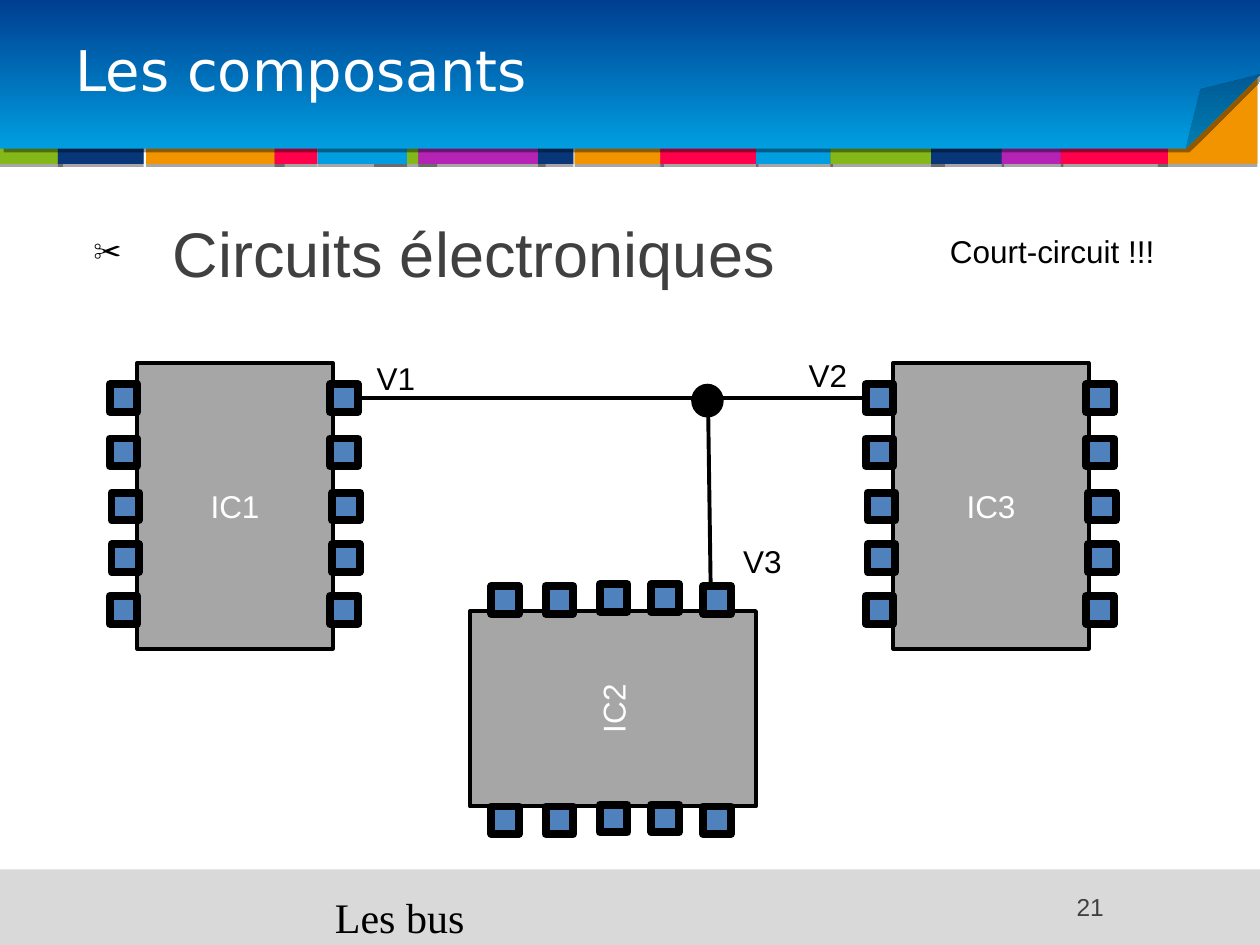
from dataclasses import dataclass

from lxml import etree
from pptx import Presentation
from pptx.dml.color import RGBColor
from pptx.enum.shapes import MSO_CONNECTOR, MSO_SHAPE
from pptx.enum.text import MSO_ANCHOR, MSO_AUTO_SIZE, PP_ALIGN
from pptx.oxml.ns import qn
from pptx.util import Inches, Pt

RECTANGLE, OVAL, FOLDED = MSO_SHAPE.RECTANGLE, MSO_SHAPE.OVAL, MSO_SHAPE.FOLDED_CORNER
STRAIGHT = MSO_CONNECTOR.STRAIGHT
LEFT, CENTER, RIGHT = PP_ALIGN.LEFT, PP_ALIGN.CENTER, PP_ALIGN.RIGHT
TOP, MIDDLE = MSO_ANCHOR.TOP, MSO_ANCHOR.MIDDLE
NO_FIT = MSO_AUTO_SIZE.NONE
LEFT_SIDE, RIGHT_SIDE = 1, 3

BLACK = RGBColor(0x00, 0x00, 0x00)
WHITE = RGBColor(0xFF, 0xFF, 0xFF)
CHARCOAL = RGBColor(0x40, 0x40, 0x40)
CHIP_GRAY = RGBColor(0xA6, 0xA6, 0xA6)
FOOTER_GRAY = RGBColor(0xD9, 0xD9, 0xD9)
PIN_BLUE = RGBColor(0x4F, 0x81, 0xBD)
DEEP_BLUE = RGBColor(0x00, 0x3E, 0x90)
SKY = RGBColor(0x00, 0x9E, 0xE0)
GREEN = RGBColor(0x83, 0xB8, 0x18)
ORANGE = RGBColor(0xF2, 0x94, 0x00)
NAVY = RGBColor(0x07, 0x37, 0x79)
RED = RGBColor(0xFF, 0x01, 0x4B)
PURPLE = RGBColor(0xB5, 0x23, 0xB4)

COLUMNS, ROWS = 100, 75
SLIDE_WIDTH, SLIDE_HEIGHT = Inches(10), Inches(7.5)


@dataclass(frozen=True)
class Area:
    column: float
    row: float
    columns: float
    rows: float

    def place(self) -> tuple[int, int, int, int]:
        return (across(self.column), down(self.row), across(self.columns), down(self.rows))


@dataclass(frozen=True)
class Stripe:
    column: float
    columns: float
    color: RGBColor
    row: float = 8.2
    rows: float = 4.8


@dataclass(frozen=True)
class Chip:
    name: str
    column: float
    row: float
    turned: bool = False


@dataclass(frozen=True)
class Label:
    text: str
    area: Area
    size: int = 18
    font: str = "Arial"
    color: RGBColor = BLACK
    align: PP_ALIGN = LEFT


STRIPES = [
    Stripe(29.7, 5, GREEN), Stripe(91.9, 7.9, ORANGE, 4.7, 8.3),
    Stripe(0, 5, GREEN), Stripe(4.6, 6.8, NAVY), Stripe(11.6, 11, ORANGE),
    Stripe(21.8, 3.4, RED), Stripe(25.2, 7.1, SKY), Stripe(33.2, 10.1, PURPLE),
    Stripe(42.7, 2.8, NAVY), Stripe(45.6, 7.1, ORANGE), Stripe(52.4, 7.8, RED),
    Stripe(60, 6.1, SKY), Stripe(65.9, 9.1, GREEN), Stripe(73.9, 5.8, NAVY),
    Stripe(79.5, 4.9, PURPLE), Stripe(84.2, 8.5, RED),
]
CHIPS = [Chip("IC1", 18.65, 40.15), Chip("IC3", 78.65, 40.15), Chip("IC2", 48.65, 56.25, True)]
CHIP_COLUMNS, CHIP_ROWS, PIN = 15.5, 22.7, 2.2
PIN_SIDES = (8.65, -8.85)
PIN_OFFSETS = [(0, -8.55), (0, -4.25), (0.15, 0.05), (0.15, 4.15), (0, 8.25)]
FOOTERS = [
    Label("Les bus", Area(25.6, 70.3, 48.8, 3.7), 24, "Times New Roman"),
    Label("21", Area(76.8, 70.3, 11.8, 3.7), 14, color=CHARCOAL, align=RIGHT),
]
LABELS = [
    Label("V1", Area(28.9, 28, 5.1, 4)),
    Label("V2", Area(63.2, 27.8, 5.5, 4)),
    Label("V3", Area(58, 42.5, 7.2, 4)),
    Label("Court-circuit !!!", Area(74.4, 17.9, 18.6, 4)),
]


def across(columns: float) -> int:
    return round(SLIDE_WIDTH * columns / COLUMNS)


def down(rows: float) -> int:
    return round(SLIDE_HEIGHT * rows / ROWS)


def apply(target, formats: dict) -> None:
    for name, value in formats.items():
        setattr(target, name, value)


def write(box, text: str, size: int, font: str, color: RGBColor, align=LEFT, anchor=TOP):
    apply(box.text_frame, {"word_wrap": True, "auto_size": NO_FIT, "vertical_anchor": anchor})
    para = box.text_frame.paragraphs[0]
    para.alignment = align
    span = para.add_run()
    span.text = text
    apply(span.font, {"size": Pt(size), "name": font})
    span.font.color.rgb = color
    return para


def draw(shapes, kind, area: Area, fill: RGBColor, line_width: float = 0):
    shape = shapes.add_shape(kind, *area.place())
    shape.shadow.inherit = False
    shape.fill.solid()
    shape.fill.fore_color.rgb = fill
    if line_width:
        shape.line.color.rgb = BLACK
        shape.line.width = Pt(line_width)
    else:
        shape.line.fill.background()
    return shape


def cast_shadow(shape, opacity: int, distance: float, angle: int) -> None:
    effects = shape.element.spPr.find(qn("a:effectLst"))
    shadow = etree.SubElement(effects, qn("a:outerShdw"), blurRad="0", dist=str(Pt(distance)),
                              dir=str(angle * 60000), algn="ctr", rotWithShape="0")
    color = etree.SubElement(shadow, qn("a:srgbClr"), val=str(BLACK))
    etree.SubElement(color, qn("a:alpha"), val=str(opacity * 1000))


def draw_frame(page) -> None:
    for stripe in STRIPES:
        area = Area(stripe.column, stripe.row, stripe.columns, stripe.rows)
        cast_shadow(draw(page.shapes, RECTANGLE, area, stripe.color), 35, 1.8, 90)
    banner = draw(page.shapes, FOLDED, Area(0, 0, COLUMNS, 11.8), SKY)
    fold = next(banner.element.spPr.iter(qn("a:avLst")))
    etree.SubElement(fold, qn("a:gd"), name="adj", fmla="val 50000")
    banner.fill.gradient()
    banner.fill.gradient_angle = 90
    for stop, color, position in zip(banner.fill.gradient_stops, (SKY, DEEP_BLUE), (0, 1)):
        stop.color.rgb = color
        stop.position = position
    cast_shadow(banner, 40, 3, 45)
    footer = draw(page.shapes, RECTANGLE, Area(0, 69, COLUMNS, 6), FOOTER_GRAY)
    cast_shadow(footer, 35, 1.8, 90)


def fill_placeholder(box, area: Area, *text_format):
    apply(box, dict(zip(("left", "top", "width", "height"), area.place())))
    box.element.getparent().append(box.element)
    return write(box, *text_format)


def add_bullet(para) -> None:
    layout = para._p.get_or_add_pPr()
    layout.set("marL", str(across(7.4)))
    layout.set("indent", str(across(-6.3)))
    color = etree.SubElement(layout, qn("a:buClr"))
    etree.SubElement(color, qn("a:srgbClr"), val=str(BLACK))
    etree.SubElement(layout, qn("a:buSzPct"), val="45000")
    etree.SubElement(layout, qn("a:buChar"), char="✂")


def draw_chip(page, chip: Chip) -> list:
    group = page.shapes.add_group_shape()
    rotation = 270 if chip.turned else 0

    def part(x: float, y: float, columns: float, rows: float, fill: RGBColor, width: float):
        x, y = (y, -x) if chip.turned else (x, y)
        area = Area(chip.column + x - columns / 2, chip.row + y - rows / 2, columns, rows)
        shape = draw(group.shapes, RECTANGLE, area, fill, width)
        shape.rotation = rotation
        return shape

    body = part(0, 0, CHIP_COLUMNS, CHIP_ROWS, CHIP_GRAY, 2.25)
    write(body, chip.name, 18, "Arial", WHITE, CENTER, MIDDLE)
    return [part(side + nudge, y, PIN, PIN, PIN_BLUE, 4.5)
            for side in PIN_SIDES for nudge, y in PIN_OFFSETS]


def draw_wire(page, start: tuple[float, float], end: tuple[float, float]):
    wire = page.shapes.add_connector(STRAIGHT, across(start[0]), down(start[1]),
                                     across(end[0]), down(end[1]))
    wire.line.color.rgb = BLACK
    wire.line.width = Pt(2.25)
    etree.SubElement(wire.element.spPr, qn("a:effectLst"))
    return wire


def add_label(page, label: Label) -> None:
    box = page.shapes.add_textbox(*label.area.place())
    write(box, label.text, label.size, label.font, label.color, label.align)


def main() -> None:
    deck = Presentation()
    apply(deck, {"slide_width": SLIDE_WIDTH, "slide_height": SLIDE_HEIGHT})
    page = deck.slides.add_slide(deck.slide_layouts[1])
    title, body = page.placeholders
    draw_frame(page)
    heading = fill_placeholder(title, Area(5, 0.7, 90, 10.3), "Les composants", 32,
                               "DejaVu Sans", WHITE, LEFT, MIDDLE)
    heading.line_spacing = 0.9
    item = fill_placeholder(body, Area(5.3, 16.5, 90, 52.7), "Circuits électroniques", 36,
                            "Arial", CHARCOAL)
    item.space_before = Pt(0)
    add_bullet(item)
    for label in FOOTERS:
        add_label(page, label)
    pins = {chip.name: draw_chip(page, chip) for chip in CHIPS}
    bus = draw_wire(page, (28.6, 31.6), (68.8, 31.6))
    bus.begin_connect(pins["IC1"][0], RIGHT_SIDE)
    bus.end_connect(pins["IC3"][len(PIN_OFFSETS)], LEFT_SIDE)
    draw_wire(page, (56.2, 32.1), (56.4, 46.3))
    draw(page.shapes, OVAL, Area(55, 30.6, 2.3, 2.4), BLACK, 2)
    for label in LABELS:
        add_label(page, label)
    deck.save("out.pptx")


if __name__ == "__main__":
    main()
